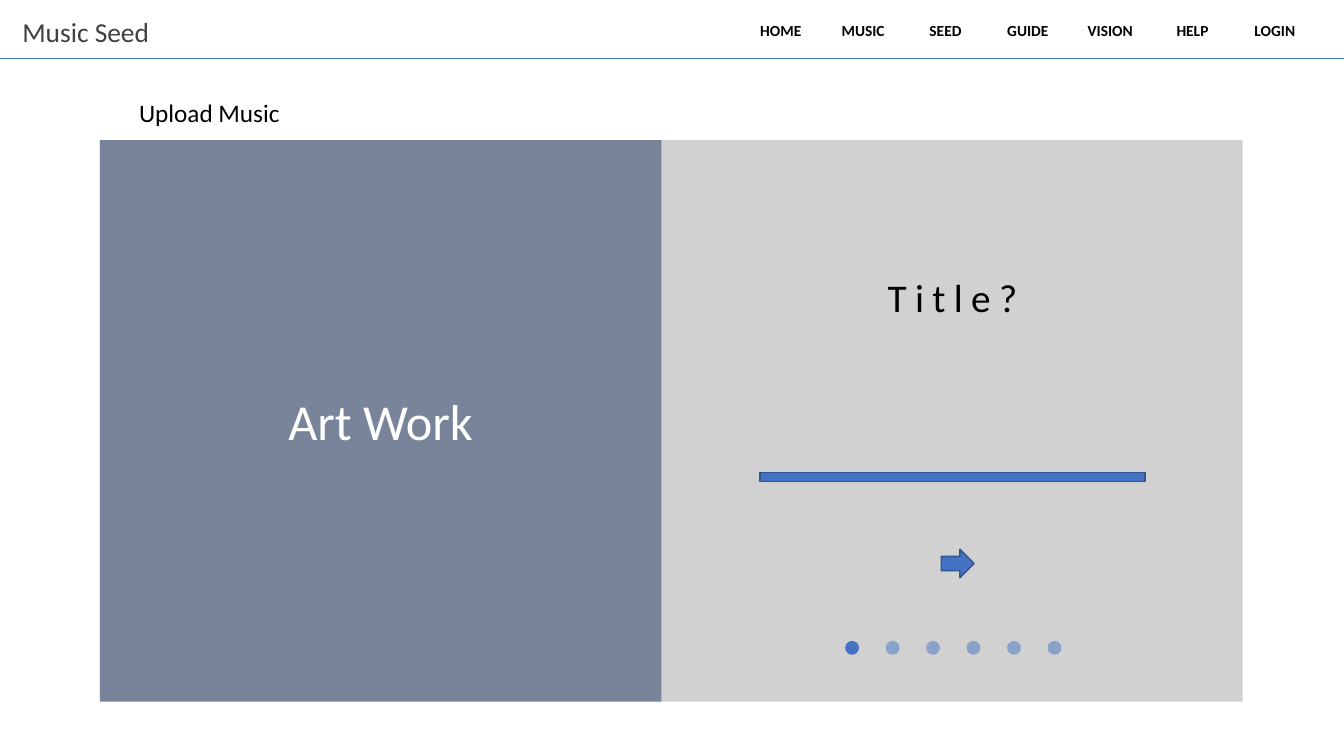
"""Build the music upload page mock-up as a single slide."""
from lxml.etree import SubElement
from pptx import Presentation
from pptx.dml.color import RGBColor
from pptx.enum.shapes import MSO_CONNECTOR, MSO_SHAPE
from pptx.enum.text import MSO_ANCHOR, MSO_AUTO_SIZE, PP_ALIGN
from pptx.oxml.ns import qn
from pptx.util import Cm, Pt

COLORS = {
    "white": "FFFFFF",
    "black": "000000",
    "brand": "404040",
    "blue": "4472C4",
    "outline": "325491",
    "panel": "A5A5A5",
    "artwork": "203864",
}
MENU = ["HOME", "MUSIC", "SEED", "GUIDE", "VISION", "HELP", "LOGIN"]
DOT_COUNT = 6
DOT_PITCH = 1.02
SLIDE_WIDTH = 33.87
PANEL_LEFT, PANEL_TOP, PANEL_HEIGHT = 2.52, 3.53, 14.15
FORM_LEFT, FORM_WIDTH = 19.15, 9.71


def color(name):
    return RGBColor.from_string(COLORS[name])


def write_text(text_frame, text, size, color_name, bold=False):
    text_frame.text = text
    text_frame.word_wrap = True
    text_frame.vertical_anchor = MSO_ANCHOR.MIDDLE
    paragraph = text_frame.paragraphs[0]
    paragraph.alignment = PP_ALIGN.CENTER
    paragraph.font.name = "Calibri"
    paragraph.font.size = Pt(size)
    paragraph.font.bold = bold
    paragraph.font.color.rgb = color(color_name)
    return paragraph


def add_label(slide, left, top, width, height, text, size, color_name):
    box = slide.shapes.add_textbox(Cm(left), Cm(top), Cm(width), Cm(height))
    return write_text(box.text_frame, text, size, color_name)


def add_block(slide, kind, left, top, width, height, fill, opacity=100, outline=None):
    shape = slide.shapes.add_shape(kind, Cm(left), Cm(top), Cm(width), Cm(height))
    shape.shadow.inherit = False
    shape.fill.solid()
    shape.fill.fore_color.rgb = color(fill)
    if opacity < 100:
        fill_color = shape.fill._xPr.find(qn("a:solidFill"))[0]
        SubElement(fill_color, qn("a:alpha")).set("val", str(opacity * 1000))
    if outline:
        shape.line.color.rgb = color(outline)
        shape.line.width = Pt(1)
    else:
        shape.line.fill.background()
    return shape


def add_menu(slide):
    frame = slide.shapes.add_table(1, len(MENU), Cm(18.64), Cm(0.33), Cm(14.53), Cm(0.91))
    for cell, text in zip(frame.table.rows[0].cells, MENU):
        cell.fill.solid()
        cell.fill.fore_color.rgb = color("white")
        cell.vertical_anchor = MSO_ANCHOR.MIDDLE
        write_text(cell.text_frame, text, 11, "black", bold=True)


def add_header_line(slide):
    line = slide.shapes.add_connector(
        MSO_CONNECTOR.STRAIGHT, Cm(0), Cm(1.47), Cm(SLIDE_WIDTH), Cm(1.47))
    line.line.color.rgb = color("blue")
    line.line.width = Pt(0.5)
    SubElement(line._element.spPr, qn("a:effectLst"))


def set_title(slide, text):
    title = slide.shapes.title
    title.left, title.top = Cm(PANEL_LEFT), Cm(2.18)
    title.width, title.height = Cm(5.51), Cm(1.32)
    write_text(title.text_frame, text, 18, "black")
    title.text_frame.auto_size = MSO_AUTO_SIZE.NONE


def add_step_dots(slide):
    for step in range(DOT_COUNT):
        add_block(slide, MSO_SHAPE.OVAL, 21.3 + step * DOT_PITCH, 16.15, 0.35, 0.35,
                  "blue", opacity=50 if step else 100)


def main():
    presentation = Presentation()
    presentation.slide_width, presentation.slide_height = Cm(SLIDE_WIDTH), Cm(19.05)
    slide = presentation.slides.add_slide(presentation.slide_layouts[5])

    add_menu(slide)
    add_label(slide, 0, 0.13, 4.32, 1.32, "Music Seed", 19.6, "brand")
    add_header_line(slide)
    set_title(slide, "Upload Music")

    add_block(slide, MSO_SHAPE.RECTANGLE, PANEL_LEFT, PANEL_TOP, 28.8, PANEL_HEIGHT,
              "panel", opacity=50)
    artwork = add_block(slide, MSO_SHAPE.RECTANGLE, PANEL_LEFT, PANEL_TOP,
                        PANEL_HEIGHT, PANEL_HEIGHT, "artwork", opacity=50)
    write_text(artwork.text_frame, "Art Work", 36, "white")

    add_step_dots(slide)
    add_block(slide, MSO_SHAPE.RECTANGLE, FORM_LEFT, 11.9, FORM_WIDTH, 0.23,
              "blue", outline="outline")
    question = add_label(slide, FORM_LEFT, 6.35, FORM_WIDTH, 2.26, "Title?", 28, "black")
    question.runs[0].font._element.set("spc", "600")
    add_block(slide, MSO_SHAPE.RIGHT_ARROW, 23.72, 13.84, 0.83, 0.72,
              "blue", outline="outline")

    presentation.save("out.pptx")


if __name__ == "__main__":
    main()
